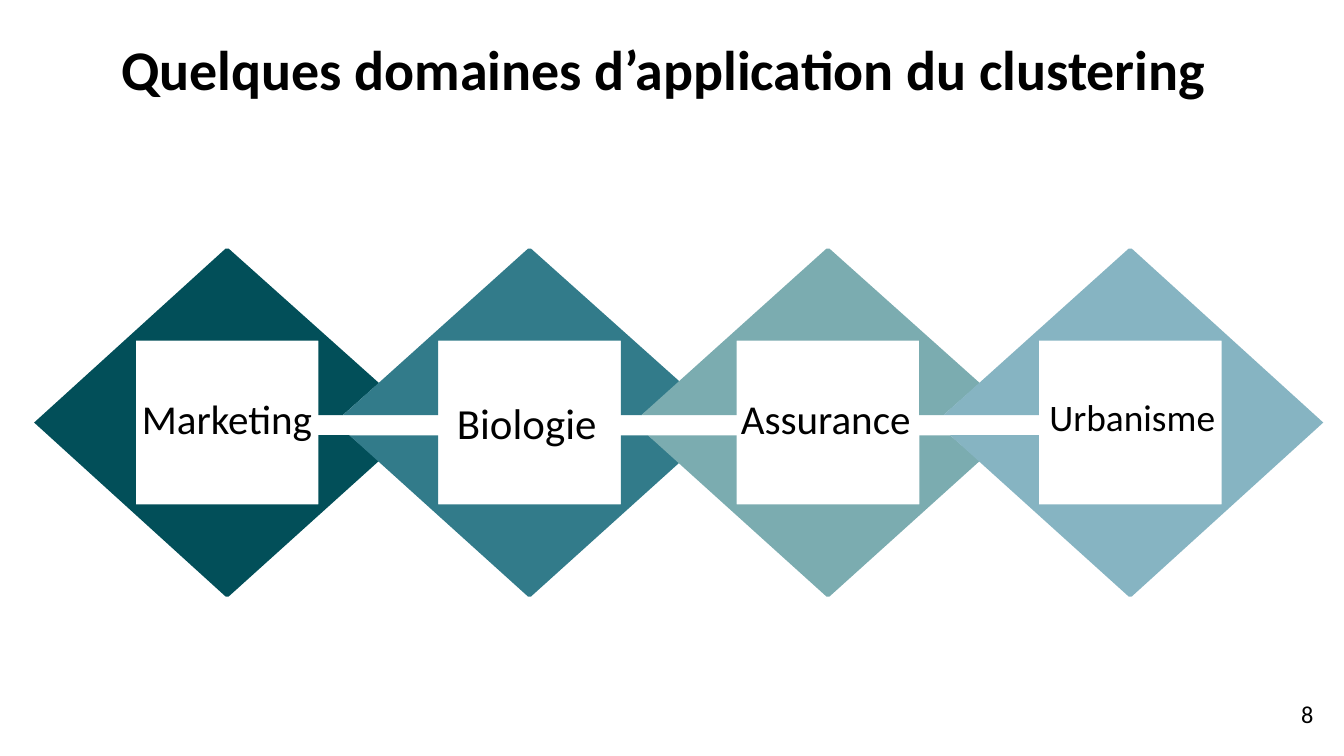
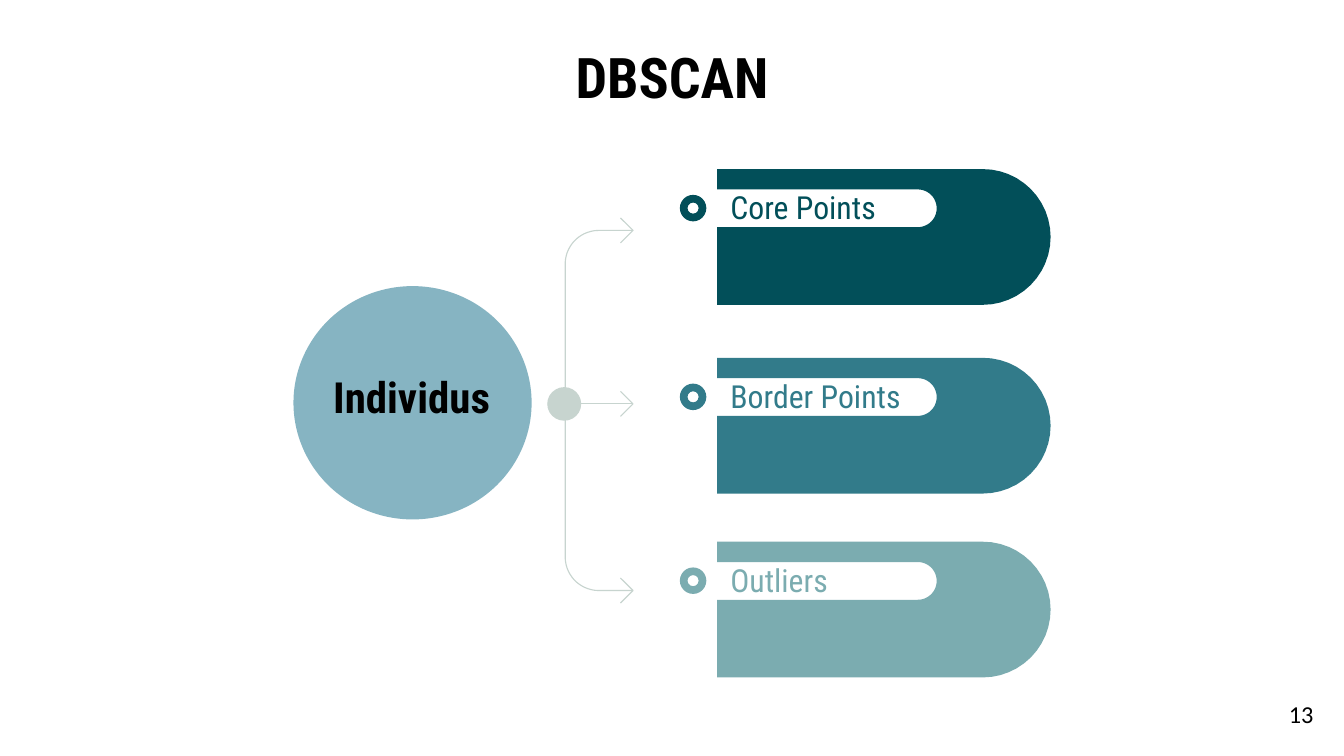
import math

import pptx
import pptx.dml.color
import pptx.enum.shapes
import pptx.enum.text
import pptx.oxml.ns
import pptx.util
from lxml import etree

Pt = pptx.util.Pt
RGB = pptx.dml.color.RGBColor
SHAPE = pptx.enum.shapes.MSO_SHAPE
ALIGN = pptx.enum.text.PP_ALIGN
ANCHOR = pptx.enum.text.MSO_ANCHOR

BLACK = RGB(0x00, 0x00, 0x00)
DARK = RGB(0x02, 0x4F, 0x59)
TEAL = RGB(0x32, 0x7B, 0x8A)
SAGE = RGB(0x7B, 0xAC, 0xB0)
SKY = RGB(0x86, 0xB4, 0xC2)
MIST = RGB(0xC7, 0xD4, 0xCF)

SANS = "Calibri"
SLIM = "Roboto Condensed"
INSET = 7.2
HAIR = 0.6


def put_text(shape, text, size, font=SANS, color=BLACK, bold=False,
             align=ALIGN.LEFT, anchor=ANCHOR.TOP):
    frame = shape.text_frame
    frame.word_wrap = True
    frame.auto_size = pptx.enum.text.MSO_AUTO_SIZE.NONE
    frame.vertical_anchor = anchor
    frame.margin_left = frame.margin_right = Pt(INSET)
    frame.margin_top = frame.margin_bottom = Pt(INSET)
    para = frame.paragraphs[0]
    para.alignment = align
    run = para.add_run()
    run.text = text
    run.font.name = font
    run.font.size = Pt(size)
    run.font.bold = bold
    run.font.color.rgb = color


def add_text(slide, box, text, size, **style):
    put_text(slide.shapes.add_textbox(*map(Pt, box)), text, size, **style)


def add_page(deck, title, box, number, font):
    """Add a slide with its title and page number."""
    slide = deck.slides.add_slide(deck.slide_layouts[5])
    head = slide.shapes.title
    head.left, head.top, head.width, head.height = map(Pt, box)
    put_text(head, title, 30, font=font, bold=True, align=ALIGN.CENTER)
    add_text(slide, (667.5, 367, 43.2, 31), number, 13,
             align=ALIGN.RIGHT, anchor=ANCHOR.MIDDLE)
    return slide


def paint(shape, color):
    shape.shadow.inherit = False
    shape.fill.solid()
    shape.fill.fore_color.rgb = color
    shape.line.fill.background()


def add_solid(slide, kind, box, color):
    shape = slide.shapes.add_shape(kind, *map(Pt, box))
    paint(shape, color)
    return shape


def trace(slide, paths, left, top, close):
    """Build a freeform from paths given relative to left and top."""
    paths = [[(Pt(left + x), Pt(top + y)) for x, y in path] for path in paths]
    pen = slide.shapes.build_freeform(*paths[0][0], scale=1.0)
    for path in paths:
        pen.move_to(*path[0])
        pen.add_line_segments(path[1:], close=close)
    return pen.convert_to_shape()


def arc(x, y, radius, start, end, steps=24):
    """Return points on an arc; angles in degrees run clockwise from right."""
    turns = [math.radians(start + (end - start) * i / steps)
             for i in range(steps + 1)]
    return [(x + radius * math.cos(t), y + radius * math.sin(t))
            for t in turns]


def add_link(slide, x, y, color, gap, first, last):
    """Draw one diamond of the chain, centred on x, y."""
    wide, tall, tip = 103.4, 93.2, 0.8
    half, rise = 48.9, 43.9

    def outer(sign, slot, foot, cut):
        start = (-wide, 0) if first else (-foot, slot)
        end = [(wide, 0)] if last else [(81.3, sign * cut), (gap - foot, slot)]
        return [start, (-tip, sign * tall), (tip, sign * tall)] + end

    def inner(sign, slot):
        right = [] if last else [(half, slot)]
        left = [] if first else [(-half, slot)]
        return right + [(half, sign * rise), (-half, sign * rise)] + left

    over, under = outer(-1, -4, 100, 21.2), outer(1, 6.8, 96.5, 20.6)
    roof, floor = inner(-1, -4), inner(1, 6.8)
    if first:
        paths = [over + roof + floor[::-1] + under[::-1]]
    elif last:
        paths = [over + under[::-1] + floor[::-1] + roof]
    else:
        paths = [under + floor, over + roof]
    for path in paths:
        paint(trace(slide, [path], x, y, True), color)


def add_chain(slide, y):
    links = [
        ("Marketing", 121.7, DARK, 22, (66.2, 203.8, 110.9, 28)),
        ("Biologie", 283.7, TEAL, 23, (233.3, 205.2, 97.9, 28)),
        ("Assurance", 443.6, SAGE, 22, (383, 203.8, 118.8, 63.4)),
        ("Urbanisme", 605.5, SKY, 20, (550.8, 203.8, 111.6, 56.2)),
    ]
    final = len(links) - 1
    for i, (name, x, color, size, box) in enumerate(links):
        gap = 0 if i == final else links[i + 1][1] - x
        add_link(slide, x, y, color, gap, i == 0, i == final)
        add_text(slide, box, name, size, align=ALIGN.CENTER)


def add_tree(slide, left, top):
    """Draw the hub with its three arrows; left is the stem."""
    tip, bend, head = 36.3, 18, 6.7
    mid, low = 92.9, 192.9
    stem = ([(tip, 0)] + arc(bend, bend, bend, 270, 180)
            + arc(bend, low - bend, bend, 180, 90) + [(tip, low)])
    heads = [[(tip - head, y - head), (tip, y), (tip - head, y + head)]
             for y in (0, mid, low)]
    lines = trace(slide, [stem] + heads, left, top, False)
    lines.shadow.inherit = False
    lines.fill.background()
    shaft = slide.shapes.add_connector(
        pptx.enum.shapes.MSO_CONNECTOR.STRAIGHT,
        Pt(left), Pt(top + mid), Pt(left + tip), Pt(top + mid))
    etree.SubElement(shaft._element.spPr, pptx.oxml.ns.qn("a:effectLst"))
    for part in (lines, shaft):
        part.line.color.rgb = MIST
        part.line.width = Pt(HAIR)
    add_solid(slide, SHAPE.OVAL, (left - 9.6, top + mid - 9, 18.2, 18), MIST)


def add_band(slide, left, top, text, color):
    """Draw a round-ended band with a slot for its label and a ring."""
    wide, tall = 178.6, 72.7
    slot, edge, knob = 117.6, 10.9, 10.1
    end = tall / 2
    path = ([(0, 0)] + arc(wide - end, end, end, -90, 90) + [(0, tall)]
            + [(0, edge + 2 * knob)]
            + arc(slot - knob, edge + knob, knob, 90, -90) + [(0, edge)])
    paint(trace(slide, [path], left, top, True), color)
    ring = add_solid(slide, SHAPE.DONUT,
                     (left - 20, top + 13.8, 14.2, 14.2), color)
    ring.adjustments[0] = 0.29
    add_text(slide, (left, top + 3, 160, 23), text, 17, font=SLIM, color=color)


def add_fields(deck):
    slide = add_page(deck, "Quelques domaines d’application du clustering",
                     (38.9, 11.5, 633.6, 80.6), "8", SANS)
    add_chain(slide, 226.4)


def add_dbscan(deck):
    slide = add_page(deck, "DBSCAN", (182.2, 15.8, 355.7, 49), "13", SLIM)
    add_tree(slide, 302.8, 123.5)
    add_solid(slide, SHAPE.OVAL, (157.2, 153.3, 127.6, 125), SKY)
    add_text(slide, (171.4, 191.5, 101.5, 42.5), "Individus", 23,
             font=SLIM, bold=True)
    for text, top, color in (("Core Points", 90.6, DARK),
                             ("Border Points", 191.7, TEAL),
                             ("Outliers", 290.2, SAGE)):
        add_band(slide, 384.2, top, text, color)


def main():
    deck = pptx.Presentation()
    deck.slide_width, deck.slide_height = Pt(720), Pt(405)
    add_fields(deck)
    add_dbscan(deck)
    deck.save("out.pptx")


if __name__ == "__main__":
    main()
